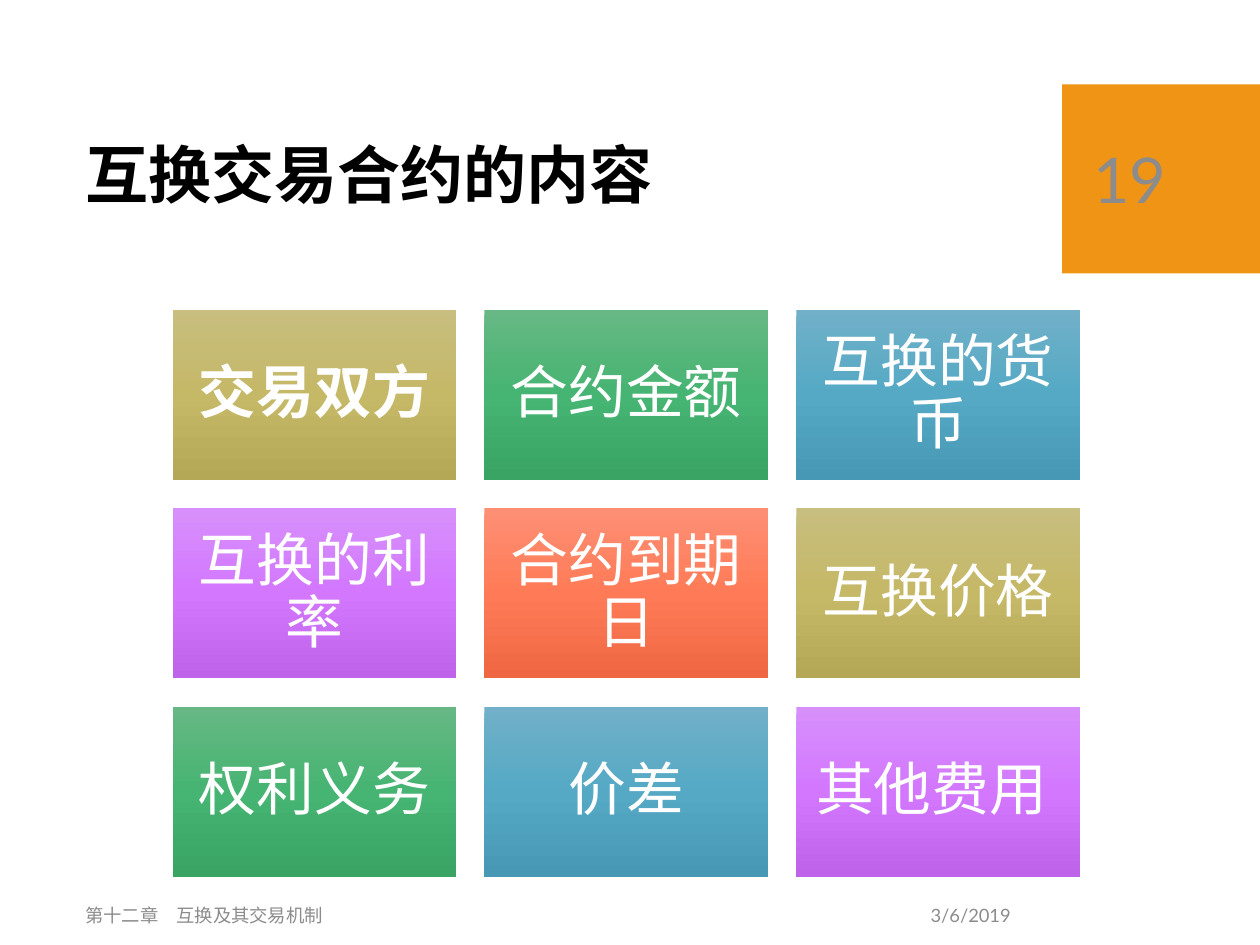
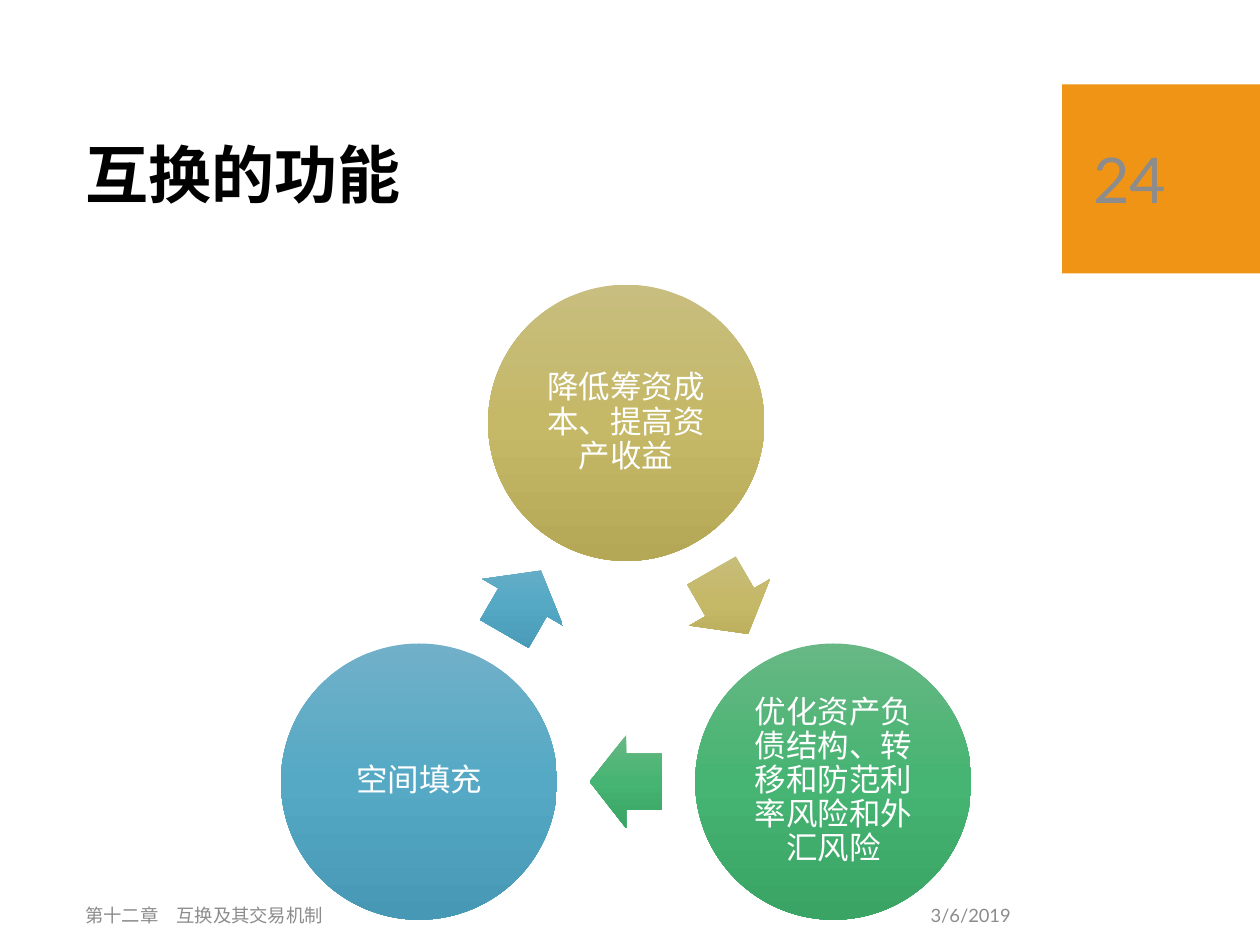
import copy
import math

import pptx
import pptx.util
from pptx.dml.color import RGBColor
from pptx.enum.shapes import MSO_SHAPE
from pptx.enum.text import MSO_ANCHOR, PP_ALIGN
from pptx.oxml.ns import qn

SLIDE_WIDTH = pptx.util.Inches(10)
SLIDE_HEIGHT = pptx.util.Inches(7.5)
TITLE_ONLY = 5

FONT = "Lato"
WHITE = RGBColor(0xFF, 0xFF, 0xFF)
BLACK = RGBColor(0x00, 0x00, 0x00)
GREY = RGBColor(0x8C, 0x8C, 0x8C)
ORANGE = RGBColor(0xF0, 0x94, 0x15)

# Each gradient runs from top to bottom.
KHAKI = (RGBColor(0xC8, 0xBE, 0x7F), RGBColor(0xC5, 0xB8, 0x67), RGBColor(0xB4, 0xA7, 0x56))
GREEN = (RGBColor(0x67, 0xB8, 0x84), RGBColor(0x46, 0xB4, 0x72), RGBColor(0x3A, 0xA4, 0x64))
BLUE = (RGBColor(0x71, 0xB0, 0xC8), RGBColor(0x55, 0xA9, 0xC5), RGBColor(0x47, 0x98, 0xB4))
PURPLE = (RGBColor(0xD7, 0x90, 0xFB), RGBColor(0xD3, 0x77, 0xFF), RGBColor(0xBE, 0x62, 0xEA))
CORAL = (RGBColor(0xFD, 0x8F, 0x75), RGBColor(0xFF, 0x7B, 0x57), RGBColor(0xEE, 0x67, 0x42))
GRADIENTS = (KHAKI, GREEN, BLUE, PURPLE, CORAL)

CHAPTER = "第十二章　互换及其交易机制"
DATE = "3/6/2019"


def box_in_inches(left, top, width, height):
    return tuple(pptx.util.Inches(length) for length in (left, top, width, height))


TITLE_BOX = box_in_inches(0.58, 0.82, 7.54, 1.18)
BAND_BOX = box_in_inches(8.43, 0.67, 1.57, 1.5)
NUMBER_BOX = box_in_inches(8.58, 0.82, 1.27, 1.19)
CHAPTER_BOX = box_in_inches(0.58, 7.06, 5.29, 0.4)
DATE_BOX = box_in_inches(5.87, 7.06, 2.25, 0.4)
TILES_BOX = box_in_inches(1.37, 2.46, 7.2, 4.5)
CYCLE_BOX = box_in_inches(2.23, 2.26, 5.48, 5.04)


def write_text(shape, text, size, color, alignment=PP_ALIGN.LEFT, bold=False,
               line_spacing=None, inset=None):
    frame = shape.text_frame
    frame.word_wrap = True
    frame.vertical_anchor = MSO_ANCHOR.MIDDLE
    if inset is not None:
        frame.margin_left = frame.margin_right = pptx.util.Inches(inset)
        frame.margin_top = frame.margin_bottom = pptx.util.Inches(inset)
    frame.text = text
    paragraph = frame.paragraphs[0]
    paragraph.alignment = alignment
    paragraph.line_spacing = line_spacing
    paragraph.font.name = FONT
    paragraph.font.size = pptx.util.Pt(size)
    paragraph.font.bold = bold
    paragraph.font.color.rgb = color


def add_plain_shape(slide, preset, box):
    shape = slide.shapes.add_shape(preset, *(round(length) for length in box))
    shape.shadow.inherit = False
    shape.line.fill.background()
    return shape


def add_gradient_shape(slide, preset, box, gradient):
    """Add a shape whose three-stop gradient stays vertical when it is turned."""
    shape = add_plain_shape(slide, preset, box)
    shape.fill.gradient()
    shape.fill.gradient_angle = 270
    gradient_fill = shape._element.spPr.find(qn("a:gradFill"))
    gradient_fill.set("rotWithShape", "0")
    stop_list = gradient_fill.find(qn("a:gsLst"))
    stop_list.append(copy.deepcopy(stop_list[0]))
    for index, (stop, color) in enumerate(zip(shape.fill.gradient_stops, gradient)):
        stop.position = index / 2
        stop.color.rgb = color
    return shape


def add_text_box(slide, box, text, size, alignment=PP_ALIGN.LEFT):
    write_text(slide.shapes.add_textbox(*box), text, size, GREY, alignment)


def add_framed_slide(presentation, title, number):
    """Add a slide with its title, page-number band and footers."""
    slide = presentation.slides.add_slide(presentation.slide_layouts[TITLE_ONLY])
    band = add_plain_shape(slide, MSO_SHAPE.RECTANGLE, BAND_BOX)
    band.fill.solid()
    band.fill.fore_color.rgb = ORANGE

    heading = slide.shapes.title
    heading.left, heading.top, heading.width, heading.height = TITLE_BOX
    write_text(heading, title, 36, BLACK, bold=True, line_spacing=0.9)

    add_text_box(slide, NUMBER_BOX, number, 36)
    add_text_box(slide, CHAPTER_BOX, CHAPTER, 10.5)
    add_text_box(slide, DATE_BOX, DATE, 10.5, PP_ALIGN.RIGHT)
    return slide


def add_tiles(slide, box, labels, columns=3):
    """Lay tiles of 10 by 6 units in rows, with gaps of one unit."""
    left, top, width, _ = box
    unit = width / (columns * 11 - 1)
    for index, label in enumerate(labels):
        row, column = divmod(index, columns)
        tile_box = (left + column * 11 * unit, top + row * 7 * unit, 10 * unit, 6 * unit)
        tile = add_gradient_shape(slide, MSO_SHAPE.RECTANGLE, tile_box,
                                  GRADIENTS[index % len(GRADIENTS)])
        write_text(tile, label, 33, WHITE, PP_ALIGN.CENTER, bold=index == 0,
                   line_spacing=0.9, inset=0.14)


def add_cycle(slide, box, labels):
    """Set circles clockwise on a triangle, each with an arrow to the next."""
    left, top, width, _ = box
    diameter = 0.4 * width
    radius = (width - diameter) / math.sqrt(3)
    middle_x = left + width / 2
    middle_y = top + diameter / 2 + radius
    turn = 360 / len(labels)
    centers = [(middle_x + radius * math.sin(math.radians(turn * index)),
                middle_y - radius * math.cos(math.radians(turn * index)))
               for index in range(len(labels))]
    arrow_width, arrow_height = pptx.util.Inches(0.58), pptx.util.Inches(0.74)

    for index, (label, (x, y)) in enumerate(zip(labels, centers)):
        gradient = GRADIENTS[index]
        circle_box = (x - diameter / 2, y - diameter / 2, diameter, diameter)
        circle = add_gradient_shape(slide, MSO_SHAPE.OVAL, circle_box, gradient)
        write_text(circle, label, 18, WHITE, PP_ALIGN.CENTER,
                   line_spacing=0.9, inset=0.03)

        next_x, next_y = centers[(index + 1) % len(centers)]
        arrow_box = ((x + next_x - arrow_width) / 2, (y + next_y - arrow_height) / 2,
                     arrow_width, arrow_height)
        arrow = add_gradient_shape(slide, MSO_SHAPE.RIGHT_ARROW, arrow_box, gradient)
        arrow.adjustments[0] = 0.6
        arrow.adjustments[1] = 0.5
        arrow.rotation = turn * (index + 0.5)


def main():
    presentation = pptx.Presentation()
    presentation.slide_width = SLIDE_WIDTH
    presentation.slide_height = SLIDE_HEIGHT

    contract = add_framed_slide(presentation, "互换交易合约的内容", "19")
    add_tiles(contract, TILES_BOX, (
        "交易双方", "合约金额", "互换的货币",
        "互换的利率", "合约到期日", "互换价格",
        "权利义务", "价差", "其他费用 ",
    ))

    functions = add_framed_slide(presentation, "互换的功能", "24")
    add_cycle(functions, CYCLE_BOX, (
        "降低筹资成本、提高资产收益",
        "优化资产负债结构、转移和防范利率风险和外汇风险",
        "空间填充",
    ))

    presentation.save("out.pptx")


if __name__ == "__main__":
    main()
